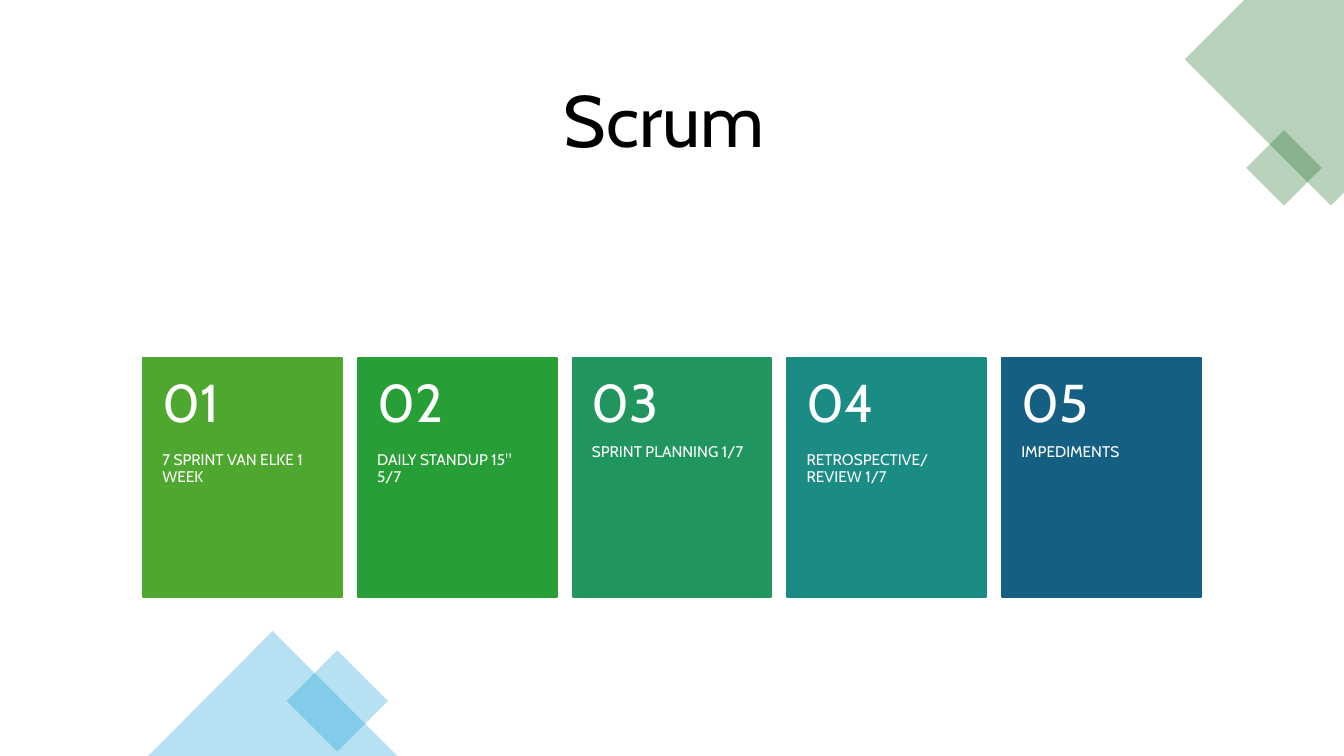
"""Build the Scrum slide: a title, five numbered cards and corner ornaments."""
from lxml import etree
from pptx import Presentation
from pptx.dml.color import RGBColor
from pptx.enum.shapes import MSO_SHAPE
from pptx.enum.text import MSO_ANCHOR, PP_ALIGN
from pptx.oxml.ns import qn
from pptx.util import Inches, Pt

RECTANGLE = MSO_SHAPE.RECTANGLE
TRIANGLE = MSO_SHAPE.ISOSCELES_TRIANGLE
TOP, MIDDLE = MSO_ANCHOR.TOP, MSO_ANCHOR.MIDDLE
LEFT, CENTER = PP_ALIGN.LEFT, PP_ALIGN.CENTER

GREEN, BLUE = "196B24", "0F9ED5"
CARDS = [
    ("7 SPRINT VAN ELKE 1 WEEK", "4EA72E"),
    ("DAILY STANDUP 15\" 5/7", "279F36"),
    ("SPRINT PLANNING 1/7", "20965E"),
    ("RETROSPECTIVE/REVIEW 1/7", "1A8C83"),
    ("IMPEDIMENTS", "156082"),
]
CARD_LEFT, CARD_TOP, CARD_STEP = 1.42, 3.55, 2.13
CARD_WIDTH, CARD_HEIGHT, NUMBER_HEIGHT = 1.97, 2.37, 0.95


def rgb(code):
    """Turn a hex string into a colour."""
    return RGBColor.from_string(code)


def write(frame, text, size, color, font, align=LEFT, anchor=TOP, insets=(0.1, 0.05, 0.1, 0.05)):
    """Put formatted text in a text frame."""
    frame.word_wrap = True
    frame.vertical_anchor = anchor
    frame.margin_left, frame.margin_top, frame.margin_right, frame.margin_bottom = map(Inches, insets)
    paragraph = frame.paragraphs[0]
    paragraph.alignment = align
    paragraph.line_spacing = 0.9
    run = paragraph.add_run()
    run.text = text
    run.font.size = Pt(size)
    run.font.name = font
    run.font.color.rgb = rgb(color)


class Deck:
    """Hold the style and the current slide."""

    font = "Cabin"

    def __init__(self):
        """Open a wide presentation with one title-only slide."""
        self.presentation = Presentation()
        self.presentation.slide_width = Inches(13.33)
        self.presentation.slide_height = Inches(7.5)
        self.slide = self.presentation.slides.add_slide(self.presentation.slide_layouts[5])

    def title(self, text, box):
        """Place and fill the title."""
        heading = self.slide.shapes.title
        heading.left, heading.top, heading.width, heading.height = map(Inches, box)
        write(heading.text_frame, text, 52, "000000", self.font, align=CENTER, anchor=MIDDLE)

    def paint(self, shape, color, opacity=None):
        """Fill a shape, either outlined and solid or see-through without a line."""
        shape.shadow.inherit = False
        shape.fill.solid()
        shape.fill.fore_color.rgb = rgb(color)
        if opacity is None:
            shape.line.color.rgb = rgb(color)
            shape.line.width = Pt(1.5)
        else:
            shape.line.fill.background()
            solid = shape.fill._xPr.find(qn("a:solidFill"))
            etree.SubElement(solid[0], qn("a:alpha"), val=str(opacity * 1000))

    def block(self, kind, box, color, opacity=None, rotation=0):
        """Add a preset shape."""
        shape = self.slide.shapes.add_shape(kind, *map(Inches, box))
        shape.rotation = rotation
        self.paint(shape, color, opacity)

    def outline(self, points, color, opacity):
        """Add a closed polygon through points in inches."""
        corners = [(Inches(x), Inches(y)) for x, y in points]
        builder = self.slide.shapes.build_freeform(*corners[0])
        builder.add_line_segments(corners[1:], close=True)
        self.paint(builder.convert_to_shape(), color, opacity)

    def label(self, text, box, size, **style):
        """Add a white text box."""
        frame = self.slide.shapes.add_textbox(*map(Inches, box)).text_frame
        write(frame, text, size, "FFFFFF", self.font, **style)

    def card(self, number, caption, color):
        """Add a numbered card in its place in the row."""
        left = CARD_LEFT + (number - 1) * CARD_STEP
        caption_top = CARD_TOP + NUMBER_HEIGHT
        caption_height = CARD_HEIGHT - NUMBER_HEIGHT
        self.block(RECTANGLE, (left, CARD_TOP, CARD_WIDTH, CARD_HEIGHT), color)
        self.label(caption, (left, caption_top, CARD_WIDTH, caption_height), 11,
                   insets=(0.19, 0, 0.19, 0.36))
        self.label(f"{number:02}", (left, CARD_TOP, CARD_WIDTH, NUMBER_HEIGHT), 38,
                   anchor=MIDDLE, insets=(0.19, 0.18, 0.19, 0.18))


def main():
    """Build and save the slide."""
    deck = Deck()
    corner = [(13.33, 0), (12.34, 0), (11.75, 0.59), (13.2, 2.04), (13.33, 1.91)]
    deck.outline(corner, GREEN, 30)
    deck.block(RECTANGLE, (12.47, 1.4, 0.53, 0.53), GREEN, 30, rotation=315)
    deck.block(RECTANGLE, (2.99, 6.6, 0.71, 0.71), BLUE, 30, rotation=45)
    deck.block(TRIANGLE, (1.47, 6.26, 2.47, 1.24), BLUE, 30)
    deck.title("Scrum ", (0.92, 0.61, 11.5, 1.24))
    for number, (caption, color) in enumerate(CARDS, start=1):
        deck.card(number, caption, color)
    deck.presentation.save("out.pptx")


if __name__ == "__main__":
    main()
